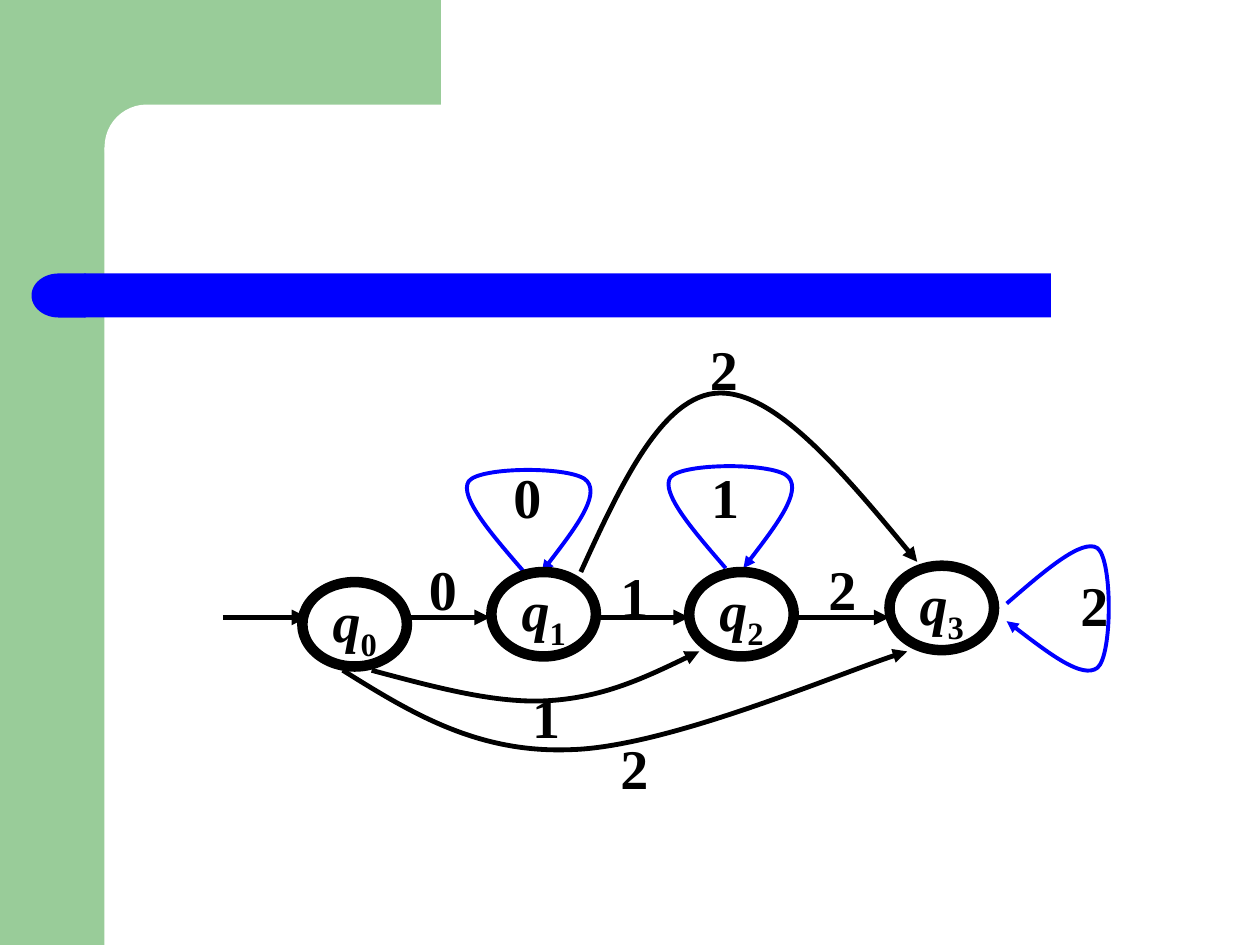
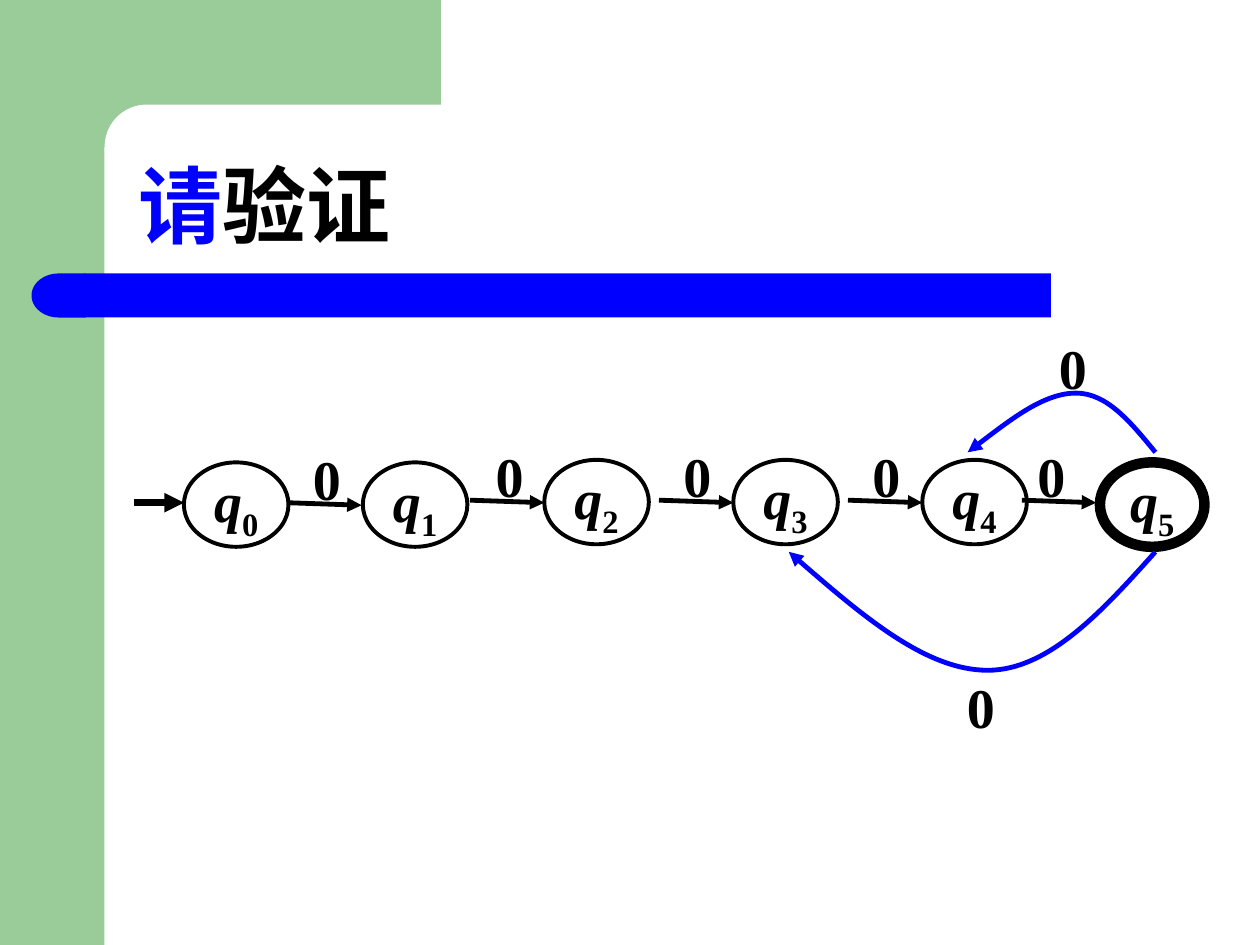
from dataclasses import dataclass

import lxml.etree
import pptx
import pptx.dml.color
import pptx.enum.shapes
import pptx.enum.text
import pptx.oxml.ns
import pptx.util

Inches, Pt = pptx.util.Inches, pptx.util.Pt
SHAPE = pptx.enum.shapes.MSO_SHAPE
ANCHOR = pptx.enum.text.MSO_ANCHOR
ALIGN = pptx.enum.text.PP_ALIGN
qn = pptx.oxml.ns.qn


@dataclass(frozen=True)
class Theme:
    font: str = "Times New Roman"
    black: str = "000000"
    white: str = "FFFFFF"
    blue: str = "0000FF"
    green: str = "99CC99"
    title_size: float = 48
    label_size: float = 32
    thin: float = 2.25
    edge: float = 2.75
    arrow: float = 3
    entry: float = 3.75
    thick: float = 6


class Deck:
    """Holds the theme and the slide being drawn."""

    STATE_W, STATE_H = 0.83, 0.67
    LABEL_W, LABEL_H = 0.25, 0.53

    def __init__(self, prs, theme):
        self.prs, self.theme, self.s = prs, theme, None

    def rgb(self, color):
        return pptx.dml.color.RGBColor.from_string(color)

    def font(self, p, size):
        f = p.font
        f.name, f.size, f.bold = self.theme.font, Pt(size), True
        f.color.rgb = self.rgb(self.theme.black)

    def line(self, sp, color, width, arrow=False):
        sp.line.color.rgb = self.rgb(color)
        sp.line.width = Pt(width)
        if arrow:
            ln = sp.line._get_or_add_ln()
            lxml.etree.SubElement(ln, qn("a:tailEnd"), type="triangle")

    # Slide frame
    def new_slide(self):
        t = self.theme
        self.s = self.prs.slides.add_slide(self.prs.slide_layouts[6])
        self.block(SHAPE.RECTANGLE, 0, 0, 0.83, 7.5, t.green)
        self.block(SHAPE.RECTANGLE, 0.75, 0, 2.75, 1.17, t.green)
        corner = self.block(SHAPE.ROUNDED_RECTANGLE, 0.83, 0.83, 5.58, 0.67, t.white)
        corner.adjustments[0] = 0.5
        self.block(SHAPE.RECTANGLE, 0.67, 2.17, 7.67, 0.35, t.blue)
        cap = self.block(SHAPE.FLOWCHART_DELAY, 0.25, 2.17, 0.43, 0.35, t.blue)
        cap.rotation = 180

    def block(self, kind, x, y, w, h, color):
        sp = self.s.shapes.add_shape(kind, Inches(x), Inches(y), Inches(w), Inches(h))
        sp.shadow.inherit = False
        sp.fill.solid()
        sp.fill.fore_color.rgb = self.rgb(color)
        sp.line.fill.background()
        return sp

    def title(self, first, rest):
        sp = self.s.shapes.add_textbox(Inches(1), Inches(0.83), Inches(8.75), Inches(1.25))
        tf = sp.text_frame
        tf.word_wrap = True
        tf.vertical_anchor = ANCHOR.BOTTOM
        p = tf.paragraphs[0]
        p.line_spacing = 0.9
        self.font(p, self.theme.title_size)
        r = p.add_run()
        r.text = first
        r.font.color.rgb = self.rgb(self.theme.blue)
        p.add_run().text = rest

    # Automaton parts
    def state(self, index, x, y, width):
        sp = self.s.shapes.add_shape(SHAPE.OVAL, Inches(x), Inches(y),
                                     Inches(self.STATE_W), Inches(self.STATE_H))
        sp.shadow.inherit = False
        sp.fill.background()
        self.line(sp, self.theme.black, width)
        tf = sp.text_frame
        tf.word_wrap = False
        tf.vertical_anchor = ANCHOR.MIDDLE
        p = tf.paragraphs[0]
        p.alignment = ALIGN.CENTER
        self.font(p, self.theme.label_size)
        r = p.add_run()
        r.text, r.font.italic = "q", True
        r = p.add_run()
        r.text = str(index)
        r.font._element.set("baseline", "-25000")

    def label(self, text, x, y):
        sp = self.s.shapes.add_textbox(Inches(x), Inches(y),
                                       Inches(self.LABEL_W), Inches(self.LABEL_H))
        tf = sp.text_frame
        tf.word_wrap = True
        tf.vertical_anchor = ANCHOR.MIDDLE
        tf.margin_left = tf.margin_right = tf.margin_top = tf.margin_bottom = 0
        p = tf.paragraphs[0]
        p.alignment = ALIGN.CENTER
        self.font(p, self.theme.label_size)
        p.add_run().text = text

    def arrow(self, x1, y1, x2, y2, width):
        cx = self.s.shapes.add_connector(pptx.enum.shapes.MSO_CONNECTOR.STRAIGHT,
                                         Inches(x1), Inches(y1), Inches(x2), Inches(y2))
        self.line(cx, self.theme.black, width, arrow=True)
        lxml.etree.SubElement(cx._element.spPr, qn("a:effectLst"))

    def curve(self, points, color, width):
        """Draw an arrow along Bezier segments: a start, then three points each."""
        pts = [(Inches(x), Inches(y)) for x, y in points]
        fb = self.s.shapes.build_freeform(*pts[0])
        fb.add_line_segments(pts[1:], close=False)
        sp = fb.convert_to_shape()
        sp.shadow.inherit = False
        sp.fill.background()
        self.line(sp, color, width, arrow=True)
        # Turn each three straight segments into one cubic segment
        path = sp._element.find(".//" + qn("a:path"))
        steps = path.findall(qn("a:lnTo"))
        for i in range(0, len(steps), 3):
            bezier = lxml.etree.SubElement(path, qn("a:cubicBezTo"))
            for step in steps[i:i + 3]:
                bezier.append(step[0])
                path.remove(step)

    def top_loop(self, x, y):
        """Self-loop above a state, starting at (x, y)."""
        steps = [(0, 0), (-0.26, -0.3), (-0.52, -0.6), (-0.44, -0.72),
                 (-0.35, -0.84), (0.41, -0.84), (0.5, -0.72),
                 (0.6, -0.6), (0.37, -0.3), (0.14, 0)]
        self.curve([(x + dx, y + dy) for dx, dy in steps], self.theme.blue, self.theme.thin)


def skip_automaton(d):
    t = d.theme
    d.new_slide()
    # Straight arrows
    for x1, x2 in [(1.77, 2.44), (3.22, 3.89), (4.72, 5.47), (6.31, 7.06)]:
        d.arrow(x1, 4.9, x2, 4.9, t.arrow)
    # Self-loops
    d.top_loop(4.16, 4.54)
    d.top_loop(5.76, 4.51)
    d.curve([(7.99, 4.79), (8.29, 4.53), (8.59, 4.27), (8.71, 4.35),
             (8.83, 4.44), (8.83, 5.2), (8.71, 5.3),
             (8.59, 5.39), (8.29, 5.16), (7.99, 4.93)], t.blue, t.thin)
    # States
    for i, (x, y) in enumerate([(2.4, 4.62), (3.9, 4.54), (5.47, 4.54), (7.06, 4.49)]):
        d.state(i, x, y, t.thick)
    # Edges that skip a state
    for points in [
        [(2.95, 5.32), (3.44, 5.45), (3.94, 5.59), (4.37, 5.56),
         (4.8, 5.53), (5.18, 5.35), (5.55, 5.17)],
        [(2.72, 5.32), (3.25, 5.65), (3.78, 5.98), (4.53, 5.95),
         (5.28, 5.93), (6.76, 5.3), (7.2, 5.17)],
        [(4.61, 4.54), (4.93, 3.84), (5.26, 3.13), (5.71, 3.12),
         (6.15, 3.11), (6.72, 3.78), (7.28, 4.46)],
    ]:
        d.curve(points, t.black, t.edge)
    # Input symbols
    for text, x, y in [("0", 3.39, 4.4), ("1", 4.91, 4.46), ("2", 6.56, 4.4),
                       ("0", 4.06, 3.67), ("1", 5.63, 3.67), ("2", 8.56, 4.53),
                       ("1", 4.21, 5.42), ("2", 4.91, 5.82), ("2", 5.62, 2.66)]:
        d.label(text, x, y)


def check_automaton(d):
    t = d.theme
    d.new_slide()
    d.title("请", "验证")
    # States, the last one accepting
    states = [(1.46, 3.67), (2.88, 3.67), (4.32, 3.65),
              (5.82, 3.65), (7.32, 3.65), (8.73, 3.67)]
    for i, (x, y) in enumerate(states):
        d.state(i, x, y, t.thick if i == len(states) - 1 else t.thin)
    # Straight arrows with their symbols
    d.arrow(1.06, 3.99, 1.46, 3.99, t.entry)
    for x, y, label_x in [(2.28, 3.99, 2.47), (3.73, 3.97, 3.92), (5.23, 3.97, 5.41),
                          (6.73, 3.97, 6.91), (8.11, 3.97, 8.22)]:
        d.arrow(x, y, x + 0.59, y + 0.02, t.edge)
        d.label("0", label_x, y - 0.46)
    # Edges back from the accepting state
    d.curve([(9.17, 3.59), (8.98, 3.36), (8.79, 3.12), (8.54, 3.12),
             (8.29, 3.12), (7.98, 3.36), (7.68, 3.59)], t.blue, t.edge)
    d.curve([(9.17, 4.38), (8.75, 4.85), (8.32, 5.32), (7.84, 5.32),
             (7.35, 5.32), (6.8, 4.85), (6.26, 4.38)], t.blue, t.edge)
    d.label("0", 8.39, 2.65)
    d.label("0", 7.66, 5.34)


def main():
    prs = pptx.Presentation()
    prs.slide_width, prs.slide_height = Inches(10), Inches(7.5)
    d = Deck(prs, Theme())
    skip_automaton(d)
    check_automaton(d)
    prs.save("out.pptx")


if __name__ == "__main__":
    main()
